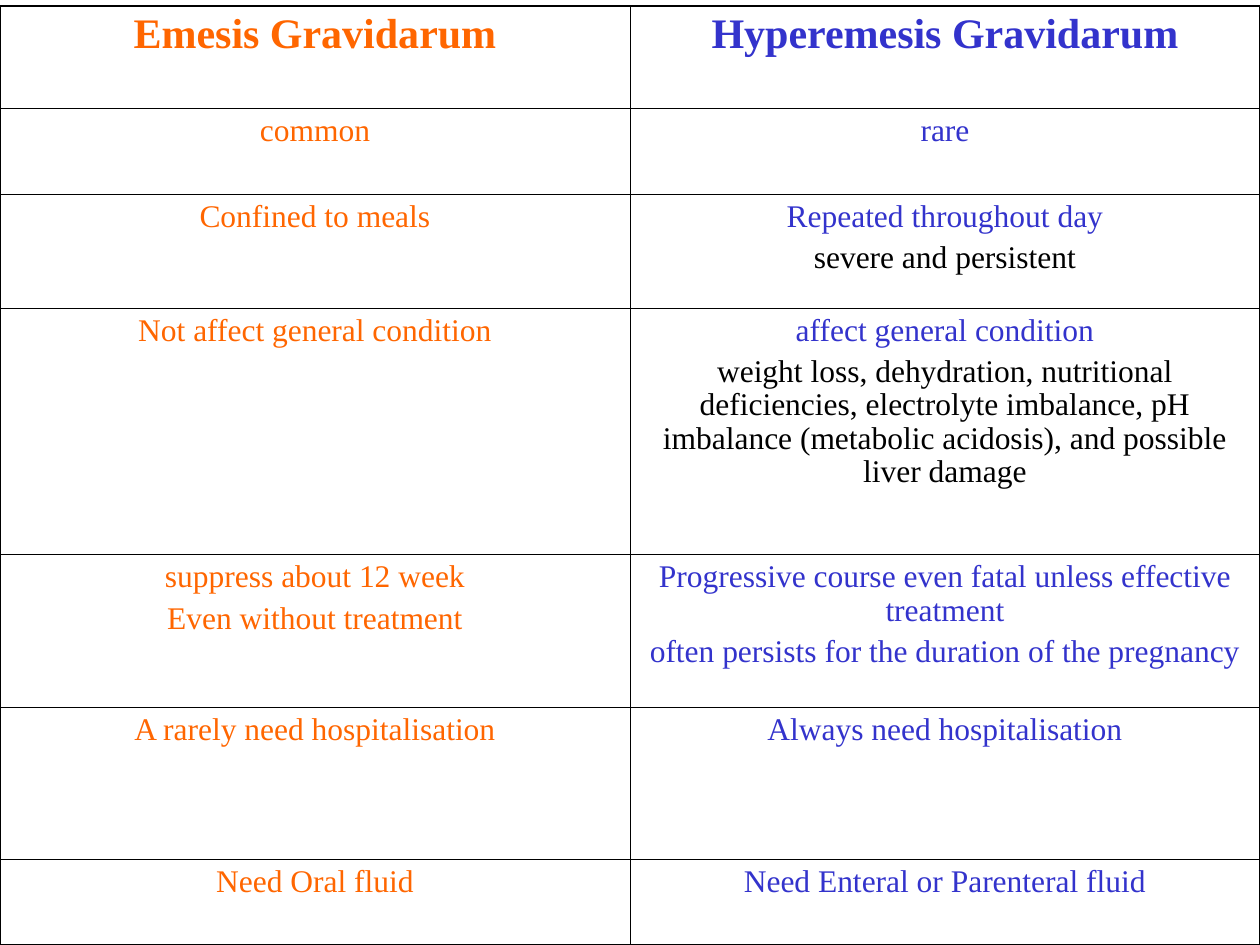
import pptx
import pptx.dml.color
import pptx.enum.text
import pptx.oxml.ns
import pptx.util
from lxml import etree

Pt = pptx.util.Pt
ORANGE, BLUE, BLACK = "FF6600", "3333CC", "000000"
FONT = "Times New Roman"
OUTER_LINE, INNER_LINE = 1.08, 0.45

ROW_HEIGHTS = [58.4, 49, 65, 141, 87, 87, 49]
# Each cell is a list of (text, colour) paragraphs
COMPARISON = [
    ([("Emesis Gravidarum", ORANGE)], [("Hyperemesis Gravidarum", BLUE)]),
    ([("common", ORANGE)], [("rare", BLUE)]),
    ([("Confined to meals", ORANGE)],
     [("Repeated throughout day", BLUE), ("severe and persistent", BLACK)]),
    ([("Not affect general condition", ORANGE)],
     [("affect general condition", BLUE),
      ("weight loss, dehydration, nutritional deficiencies, electrolyte "
       "imbalance, pH imbalance (metabolic acidosis), and possible liver "
       "damage", BLACK)]),
    ([("suppress about 12 week", ORANGE), ("Even without treatment", ORANGE)],
     [("Progressive course even fatal unless effective treatment", BLUE),
      ("often persists for the duration of the pregnancy", BLUE)]),
    ([("A rarely need hospitalisation", ORANGE)],
     [("Always need hospitalisation", BLUE)]),
    ([("Need Oral fluid", ORANGE)], [("Need Enteral or Parenteral fluid", BLUE)]),
]


def rgb(colour):
    return pptx.dml.color.RGBColor.from_string(colour)


def set_borders(cell, widths):
    """Draw black borders; widths maps L, R, T and B to points."""
    qn = pptx.oxml.ns.qn
    properties = cell._tc.get_or_add_tcPr()
    for side, width in widths.items():
        border = etree.SubElement(properties, qn(f"a:ln{side}"), w=str(Pt(width)))
        fill = etree.SubElement(border, qn("a:solidFill"))
        etree.SubElement(fill, qn("a:srgbClr"), val=BLACK)


def write_cell(cell, paragraphs, is_heading):
    frame = cell.text_frame
    frame.text = "\n".join(text for text, _ in paragraphs)
    for index, (paragraph, (_, colour)) in enumerate(zip(frame.paragraphs, paragraphs)):
        paragraph.alignment = pptx.enum.text.PP_ALIGN.CENTER
        paragraph.line_spacing = 0.96
        if index:
            paragraph.space_before = Pt(4.5)
        font = paragraph.runs[0].font
        font.name = FONT
        font.size = Pt(24 if is_heading else 18)
        font.bold = is_heading
        font.color.rgb = rgb(colour)


def add_comparison(slide, left, top, width):
    last_row = len(COMPARISON) - 1
    table = slide.shapes.add_table(
        len(COMPARISON), 2, Pt(left), Pt(top), Pt(width), Pt(sum(ROW_HEIGHTS))).table
    table.first_row = table.horz_banding = False
    for column in table.columns:
        column.width = Pt(width / 2)

    for r, (height, row) in enumerate(zip(ROW_HEIGHTS, COMPARISON)):
        table.rows[r].height = Pt(height)
        for c, paragraphs in enumerate(row):
            cell = table.cell(r, c)
            write_cell(cell, paragraphs, is_heading=r == 0)
            # Heavier lines on the outside of the grid
            on_edge = {"L": c == 0, "R": c == 1, "T": r == 0, "B": r == last_row}
            set_borders(cell, {side: OUTER_LINE if edge else INNER_LINE
                               for side, edge in on_edge.items()})
            cell.fill.background()


def main():
    presentation = pptx.Presentation()
    presentation.slide_width, presentation.slide_height = Pt(720), Pt(540)
    slide = presentation.slides.add_slide(presentation.slide_layouts[6])
    add_comparison(slide, left=0, top=3.6, width=720)
    presentation.save("out.pptx")


if __name__ == "__main__":
    main()
